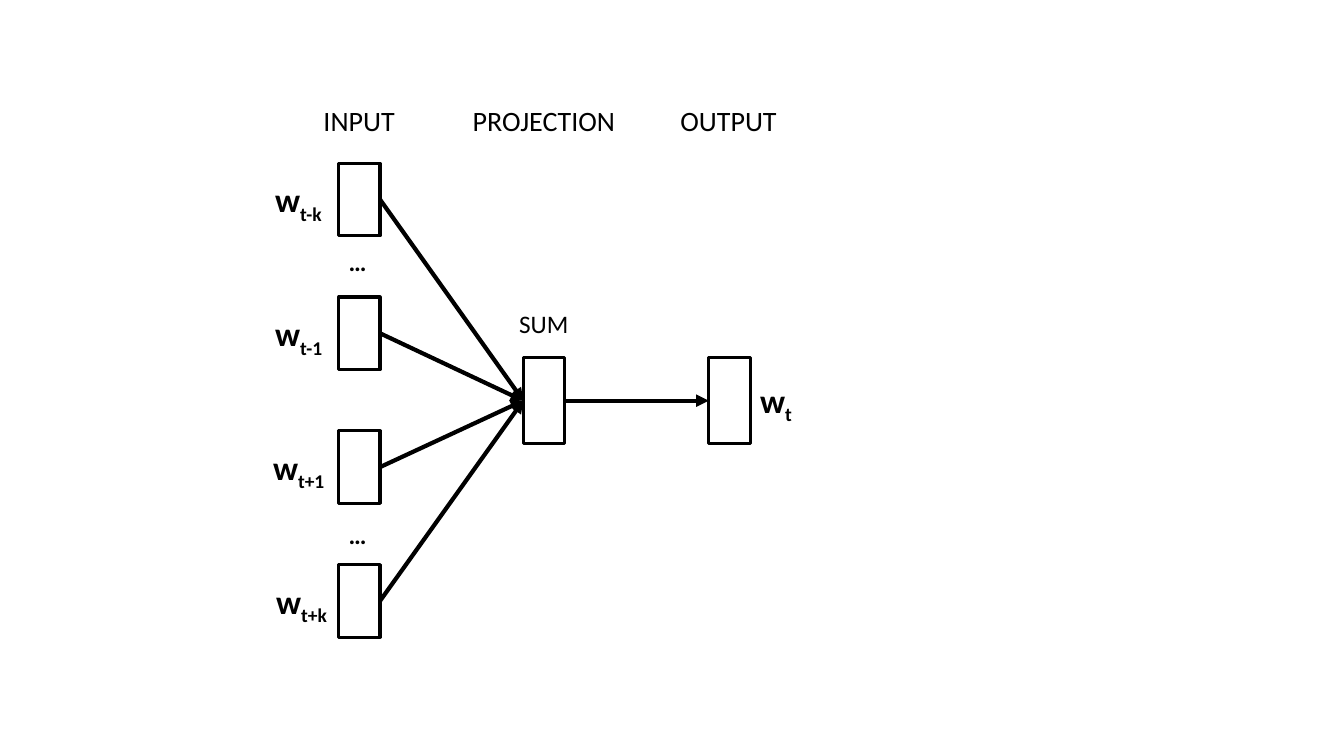
from pptx import Presentation
from pptx.dml.color import RGBColor
from pptx.enum.shapes import MSO_CONNECTOR as Connector, MSO_SHAPE as Shape
from pptx.enum.text import MSO_AUTO_SIZE as AutoSize
from pptx.oxml.ns import qn
from pptx.util import Inches, Pt
from lxml.etree import SubElement

THEME = {
    "ink": RGBColor(0, 0, 0),
    "paper": RGBColor(255, 255, 255),
    "outline": Pt(2.25),
    "arrow": Pt(3),
    "heading": {"name": "Calibri", "size": Pt(20), "bold": False},
    "caption": {"name": "Calibri", "size": Pt(18), "bold": False},
    "dots": {"name": "Calibri", "size": Pt(18), "bold": True},
    "word": {"name": "Calibri", "size": Pt(24), "bold": True},
}

deck = Presentation()
deck.slide_width, deck.slide_height = Inches(13.33), Inches(7.5)
page = deck.slides.add_slide(deck.slide_layouts[6])


def add_box(left, top, height):
    box = page.shapes.add_shape(
        Shape.RECTANGLE, Inches(left), Inches(top), Inches(0.41), Inches(height))
    box.shadow.inherit = False
    box.fill.solid()
    box.fill.fore_color.rgb = THEME["paper"]
    box.line.color.rgb = THEME["ink"]
    box.line.width = THEME["outline"]
    return box


def add_label(left, top, width, height, style, text, subscript=""):
    label = page.shapes.add_textbox(
        Inches(left), Inches(top), Inches(width), Inches(height))
    label.text_frame.word_wrap = False
    label.text_frame.auto_size = AutoSize.SHAPE_TO_FIT_TEXT
    para = label.text_frame.paragraphs[0]
    for part in filter(None, (text, subscript)):
        span = para.add_run()
        span.text = part
        for key, value in THEME[style].items():
            setattr(span.font, key, value)
        span.font.color.rgb = THEME["ink"]
    if subscript:
        span.font._element.set("baseline", "-25000")


input_top, input_step = 1.62, 1.327
inputs = [add_box(3.36, input_top + row * input_step, 0.72) for row in range(4)]
projection = add_box(5.19, 3.55, 0.85)
output = add_box(7.03, 3.55, 0.85)

LEFT_SITE, RIGHT_SITE = 1, 3
links = [(box, projection) for box in inputs] + [(projection, output)]
for source, target in links:
    arrow = page.shapes.add_connector(Connector.STRAIGHT, 0, 0, 0, 0)
    arrow.begin_connect(source, RIGHT_SITE)
    arrow.end_connect(target, LEFT_SITE)
    arrow.line.color.rgb = THEME["ink"]
    arrow.line.width = THEME["arrow"]
    SubElement(arrow.line._get_or_add_ln(), qn("a:tailEnd"), type="triangle")
    SubElement(arrow._element.spPr, qn("a:effectLst"))

for left, width, text in [
    (3.11, 0.92, "INPUT"), (4.59, 1.63, "PROJECTION"), (6.65, 1.17, "OUTPUT"),
]:
    add_label(left, 0.98, width, 0.44, "heading", text)

for row, (left, width, subscript) in enumerate([
    (2.63, 0.71, "t-k"), (2.63, 0.71, "t-1"), (2.61, 0.76, "t+1"), (2.64, 0.75, "t+k"),
]):
    add_label(left, input_top + 0.11 + row * input_step, width, 0.5, "word", "w", subscript)

for top in (2.39, 5.1):
    add_label(3.36, top, 0.38, 0.4, "dots", "…")

add_label(5.05, 3.01, 0.69, 0.4, "caption", "SUM")
add_label(7.44, 3.72, 0.53, 0.5, "word", "w", "t")

deck.save("out.pptx")
